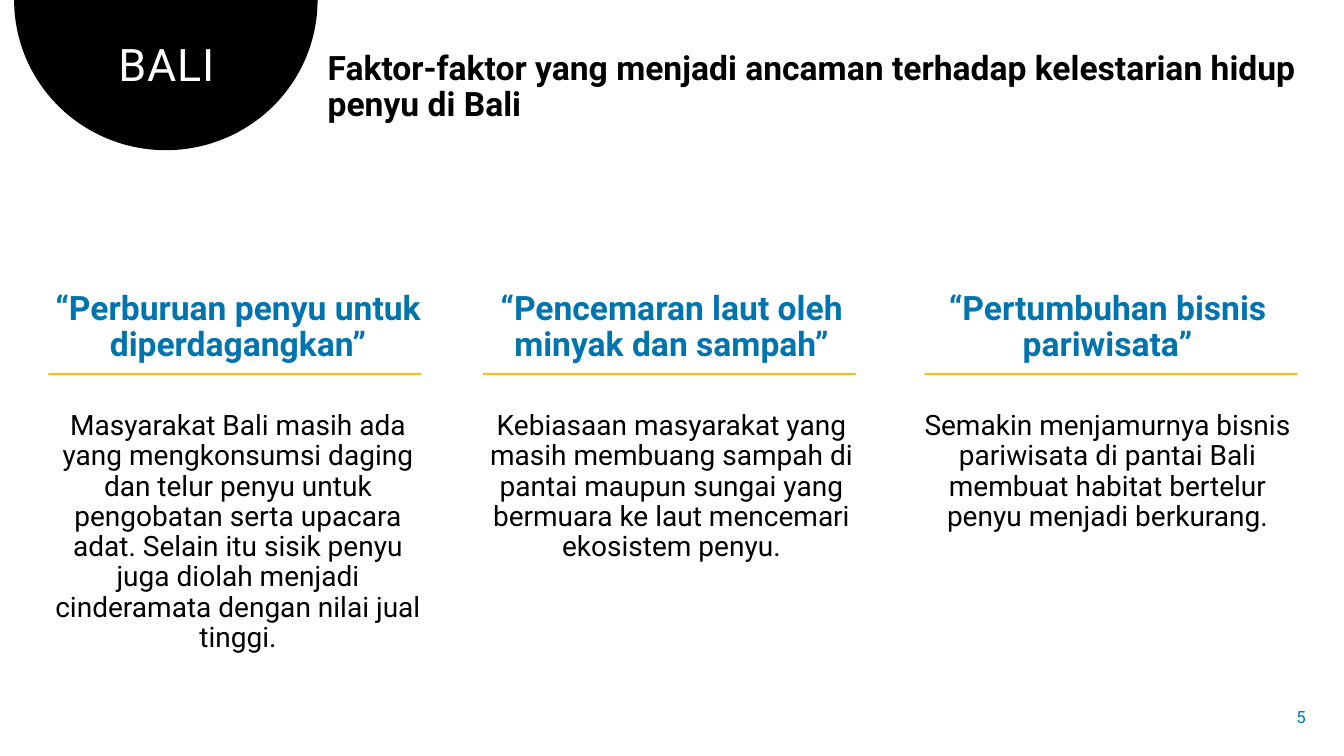
from dataclasses import dataclass
from math import cos, pi, sin

from lxml import etree
from pptx import Presentation
from pptx.dml.color import RGBColor
from pptx.enum.shapes import MSO_SHAPE
from pptx.enum.text import MSO_ANCHOR, MSO_AUTO_SIZE, PP_ALIGN
from pptx.oxml.ns import qn
from pptx.slide import Slide
from pptx.text.text import TextFrame
from pptx.util import Inches, Pt

LEFT, MID, RIGHT = PP_ALIGN.LEFT, PP_ALIGN.CENTER, PP_ALIGN.RIGHT
TOP, CENTER = MSO_ANCHOR.TOP, MSO_ANCHOR.MIDDLE
GROW, FIXED = MSO_AUTO_SIZE.SHAPE_TO_FIT_TEXT, MSO_AUTO_SIZE.NONE
RECT = MSO_SHAPE.RECTANGLE

WIDE, HIGH = Inches(13.33), Inches(7.5)
FONT = "Roboto"
COLORS = {"ink": "000000", "paper": "FFFFFF", "blue": "0074AF", "gold": "FFC000"}


@dataclass(frozen=True)
class Box:
    """Left, top, width and height in percent of the slide."""
    x: float
    y: float
    w: float
    h: float


@dataclass(frozen=True)
class Threat:
    box: Box
    rule: float
    head: str
    text: str


THREATS = (
    Threat(
        Box(2.48, 37.87, 30.46, 45.73), 3.6,
        "“Perburuan penyu untuk diperdagangkan”",
        "Masyarakat Bali masih ada yang mengkonsumsi daging dan telur penyu "
        "untuk pengobatan serta upacara adat. Selain itu sisik penyu juga "
        "diolah menjadi cinderamata dengan nilai jual tinggi.",
    ),
    Threat(
        Box(34.21, 37.87, 31.51, 37.6), 35.93,
        "“Pencemaran laut oleh minyak dan sampah”",
        "Kebiasaan masyarakat yang masih membuang sampah di pantai maupun "
        "sungai yang bermuara ke laut mencemari ekosistem penyu.",
    ),
    Threat(
        Box(66.92, 37.87, 30.98, 33.6), 68.79,
        "“Pertumbuhan bisnis pariwisata”",
        "Semakin menjamurnya bisnis pariwisata di pantai Bali membuat habitat "
        "bertelur penyu menjadi berkurang.",
    ),
)


def across(share: float) -> int:
    return round(WIDE * share / 100)


def down(share: float) -> int:
    return round(HIGH * share / 100)


def frame(box: Box) -> tuple[int, int, int, int]:
    return across(box.x), down(box.y), across(box.w), down(box.h)


def paint(shape, color: str) -> None:
    shape.fill.solid()
    shape.fill.fore_color.rgb = RGBColor.from_string(COLORS[color])
    shape.line.fill.background()
    shape.shadow.inherit = False


def place(shape, box: Box) -> TextFrame:
    shape.left, shape.top, shape.width, shape.height = frame(box)
    body = shape.text_frame
    body.word_wrap = True
    body.auto_size = GROW
    body.vertical_anchor = TOP
    return body


def write(body: TextFrame, text: str, *, size: int, color: str,
          bold: bool = False, align: PP_ALIGN = MID, lead: float = 0.9,
          before: int = 0, after: int = 0, level: int = 0,
          track: int = 0) -> None:
    para = body.add_paragraph() if body.text else body.paragraphs[0]
    props = para._p.get_or_add_pPr()
    props.set("marL", "0")
    props.set("indent", "0")
    etree.SubElement(props, qn("a:buNone"))
    para.level = level
    para.alignment = align
    para.line_spacing = lead
    para.space_before, para.space_after = Pt(before), Pt(after)
    run = para.add_run()
    run.text = text
    run.font.name = FONT
    run.font.size = Pt(size)
    run.font.bold = bold
    run.font.color.rgb = RGBColor.from_string(COLORS[color])
    if track:
        run._r.get_or_add_rPr().set("spc", str(track))


def draw_dome(slide: Slide, mid: float, reach: float, depth: float,
              steps: int = 120) -> None:
    arc = [(across(mid + reach * cos(pi * i / steps)),
            down(depth * sin(pi * i / steps))) for i in range(steps + 1)]
    pen = slide.shapes.build_freeform(*arc[0])
    pen.add_line_segments(arc[1:], close=True)
    dome = pen.convert_to_shape()
    paint(dome, "ink")
    slide.shapes._spTree.insert(2, dome._element)


def draw_threat(slide: Slide, slot: int, threat: Threat) -> None:
    body = place(slide.placeholders[slot], threat.box)
    write(body, threat.head, size=24, color="blue", bold=True, after=24)
    write(body, threat.text, size=20, color="ink", before=10, after=12, level=1)
    rule = Box(threat.rule, 49.33, 27.76, 0.27)
    paint(slide.shapes.add_shape(RECT, *frame(rule)), "gold")


def draw_page(slide: Slide) -> None:
    box = Box(93.77, 92.13, 4.13, 5.33)
    body = place(slide.shapes.add_textbox(*frame(box)), box)
    body.auto_size = FIXED
    body.vertical_anchor = CENTER
    write(body, "5", size=12, color="blue", align=RIGHT, lead=1.0)


def main() -> None:
    deck = Presentation()
    deck.slide_width, deck.slide_height = WIDE, HIGH
    slide = deck.slides.add_slide(deck.slide_layouts.get_by_name("Comparison"))
    draw_dome(slide, 12.34, 11.29, 19.87)
    title = place(slide.shapes.title, Box(2.63, 4.93, 19.5, 7.87))
    write(title, "BALI", size=32, color="paper", track=60)
    topic = place(slide.placeholders[1], Box(23.63, 6.13, 74.49, 11.07))
    write(topic, "Faktor-faktor yang menjadi ancaman terhadap kelestarian hidup "
          "penyu di Bali", size=24, color="ink", bold=True, align=LEFT)
    for slot, threat in enumerate(THREATS, start=2):
        draw_threat(slide, slot, threat)
    draw_page(slide)
    deck.save("out.pptx")


if __name__ == "__main__":
    main()
